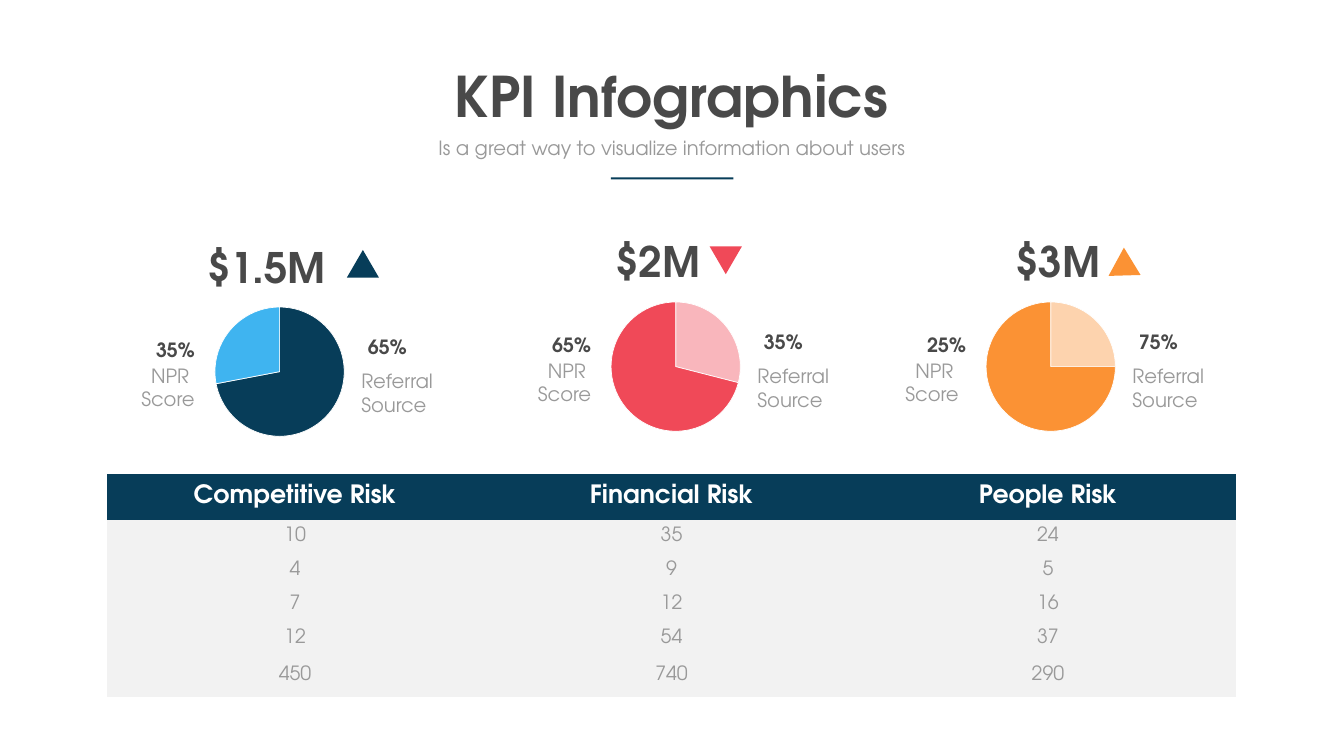
import pptx
import pptx.chart.data
import pptx.dml.color
import pptx.enum.chart
import pptx.enum.shapes
import pptx.enum.text
import pptx.oxml
import pptx.oxml.ns
import pptx.util

Pt = pptx.util.Pt
Align = pptx.enum.text.PP_ALIGN
Anchor = pptx.enum.text.MSO_ANCHOR
Shape = pptx.enum.shapes.MSO_SHAPE

NAVY, RED, ORANGE = "073D59", "F04958", "FB9234"
DARK, GRAY, PALE, WHITE = "494949", "999999", "F2F2F2", "FFFFFF"
NO_TABLE_STYLE = "{2D5ABB26-0587-4C30-8999-92F81FD0307C}"
PIE_LAYOUT = {"x": 0.147, "y": 0.053, "w": 0.596, "h": 0.894}

KPIS = [
    dict(pie=(261.4, 427.7), values=(72, 28), colors=(NAVY, "3FB4F0"),
         left="35%", right="65%", note=(190, 95), amount="$1.5M",
         amount_at=(242.6, 342, 275.8, 80), amount_align=Align.CENTER,
         arrow=(495.4, 357.1), turn=0, accent=NAVY),
    dict(pie=(827.3, 420.5), values=(29, 71), colors=("F9B6BC", RED),
         left="65%", right="35%", note=(660.2, 191.5), amount="$2M",
         amount_at=(871.9, 332.6, 153.4, 80), amount_align=Align.LEFT,
         arrow=(1013.8, 352.1), turn=180, accent=RED),
    dict(pie=(1363, 420.5), values=(25, 75), colors=("FDD3AE", ORANGE),
         left="25%", right="75%", note=(1185.1, 191.5), amount="$3M",
         amount_at=(1443.6, 332.6, 153.4, 80), amount_align=Align.LEFT,
         arrow=(1589, 363.6), turn=118.5, accent=ORANGE),
]

RISKS = [
    ("Competitive Risk", "Financial Risk", "People Risk"),
    ("10", "35", "24"),
    ("4", "9", "5"),
    ("7", "12", "16"),
    ("12", "54", "37"),
    ("450", "740", "290"),
]
ROW_HEIGHTS = [64.8, 48.2, 48.2, 48.2, 48.2, 60]


def color(value):
    return pptx.dml.color.RGBColor.from_string(value)


def assign(target, values):
    for name, value in values.items():
        setattr(target, name, value)


class SlideBuilder:
    font_name = "TeX Gyre Adventor"

    def __init__(self, slide):
        self.slide = slide

    def fill(self, target, value):
        target.fill.solid()
        target.fill.fore_color.rgb = color(value)

    def add_lines(self, frame, lines, size, ink, bold, align):
        for index, line in enumerate(lines):
            para = frame.add_paragraph() if index else frame.paragraphs[0]
            para.alignment = align
            span = para.add_run()
            span.text = line
            assign(span.font, {"name": self.font_name, "size": Pt(size), "bold": bold})
            span.font.color.rgb = color(ink)

    def fill_box(self, box, at, lines, size, ink, bold, align, wrap):
        assign(box, dict(zip(("left", "top", "width", "height"), map(Pt, at))))
        assign(box.text_frame, {
            "word_wrap": wrap,
            "vertical_anchor": Anchor.TOP,
            "auto_size": pptx.enum.text.MSO_AUTO_SIZE.SHAPE_TO_FIT_TEXT,
        })
        self.add_lines(box.text_frame, lines, size, ink, bold, align)

    def title(self, at, line):
        box = self.slide.shapes.title
        self.fill_box(box, at, [line], 80, DARK, True, Align.CENTER, False)
        para = box.text_frame.paragraphs[0]
        assign(para, {"line_spacing": 1.0, "space_before": Pt(0)})

    def text(self, at, lines, size=28, ink=GRAY, bold=False, align=Align.LEFT, wrap=True):
        box = self.slide.shapes.add_textbox(*map(Pt, at))
        self.fill_box(box, at, lines, size, ink, bold, align, wrap)

    def shape(self, kind, at, value, turn=0):
        shape = self.slide.shapes.add_shape(kind, *map(Pt, at))
        shape.shadow.inherit = False
        shape.rotation = turn
        self.fill(shape, value)
        shape.line.fill.background()

    def pie(self, at, values, colors):
        data = pptx.chart.data.CategoryChartData()
        data.categories = ["1", "2"]
        data.add_series("Series 1", values)
        kind = pptx.enum.chart.XL_CHART_TYPE.PIE
        chart = self.slide.shapes.add_chart(kind, *map(Pt, at), data).chart
        assign(chart, {"has_title": False, "has_legend": False})
        assign(chart.font, {"name": "Calibri", "size": Pt(10)})
        chart.font.color.rgb = color(GRAY)
        plot = chart.plots[0]
        plot.vary_by_categories = True
        for index, value in enumerate(colors):
            style = plot.series[0].points[index].format
            self.fill(style, value)
            style.line.color.rgb = color(WHITE)
            style.line.width = Pt(1)
        area = chart._chartSpace.chart.plotArea
        for layout in area.findall(pptx.oxml.ns.qn("c:layout")):
            area.remove(layout)
        modes = "".join(f'<c:{axis}Mode val="edge"/>' for axis in "xy")
        sizes = "".join(f'<c:{key} val="{value}"/>' for key, value in PIE_LAYOUT.items())
        area.insert(0, pptx.oxml.parse_xml(
            f'<c:layout {pptx.oxml.ns.nsdecls("c")}><c:manualLayout>'
            f'<c:layoutTarget val="inner"/>{modes}{sizes}</c:manualLayout></c:layout>'))

    def table(self, at, rows, heights):
        frame = self.slide.shapes.add_table(len(rows), len(rows[0]), *map(Pt, at))
        table = frame.table
        table.horz_banding = False
        table._tbl.tblPr.find(pptx.oxml.ns.qn("a:tableStyleId")).text = NO_TABLE_STYLE
        for row_index, (row, height) in enumerate(zip(rows, heights)):
            table.rows[row_index].height = Pt(height)
            header = row_index == 0
            side, edge = (10, 5) if row_index in (0, len(rows) - 1) else (7.2, 3.6)
            for column_index, line in enumerate(row):
                cell = table.cell(row_index, column_index)
                assign(cell, {
                    "vertical_anchor": Anchor.MIDDLE,
                    "margin_left": Pt(side), "margin_right": Pt(side),
                    "margin_top": Pt(edge), "margin_bottom": Pt(edge),
                })
                self.fill(cell, NAVY if header else PALE)
                self.add_lines(cell.text_frame, [line], 36 if header else 28,
                               WHITE if header else GRAY, header, Align.CENTER)

    def kpi(self, item):
        left, top = item["pie"]
        note_left, note_width = item["note"]
        percent = dict(ink=DARK, bold=True, wrap=False)
        self.pie((left, top, 310.3, 206.6), item["values"], item["colors"])
        self.text((left + 257, top + 47.5, 70.5, 41), [item["right"]], **percent)
        self.text((left - 46.6, top + 51.8, 70.5, 41), [item["left"]],
                  align=Align.RIGHT, **percent)
        self.text((note_left, top + 88.5, note_width, 75), ["NPR ", "Score"],
                  align=Align.RIGHT)
        self.text((left + 247.7, top + 96, 125.3, 75), ["Referral", "Source"])
        self.text(item["amount_at"], [item["amount"]], size=60, ink=DARK, bold=True,
                  align=item["amount_align"])
        self.shape(Shape.ISOSCELES_TRIANGLE, (*item["arrow"], 46, 39.6),
                   item["accent"], item["turn"])


def main():
    deck = pptx.Presentation()
    assign(deck, {"slide_width": Pt(1920), "slide_height": Pt(1080)})
    builder = SlideBuilder(deck.slides.add_slide(deck.slide_layouts[5]))
    builder.title((638.6, 84.2, 641.5, 104.4), "KPI Infographics")
    builder.text((615.6, 190.8, 688.3, 41),
                 ["Is a great way to visualize information about users"],
                 align=Align.CENTER)
    builder.shape(Shape.RECTANGLE, (872.6, 253.4, 175, 3), NAVY)
    builder.table((152.6, 677.5, 1613.5, sum(ROW_HEIGHTS)), RISKS, ROW_HEIGHTS)
    for item in KPIS:
        builder.kpi(item)
    deck.save("out.pptx")


if __name__ == "__main__":
    main()
